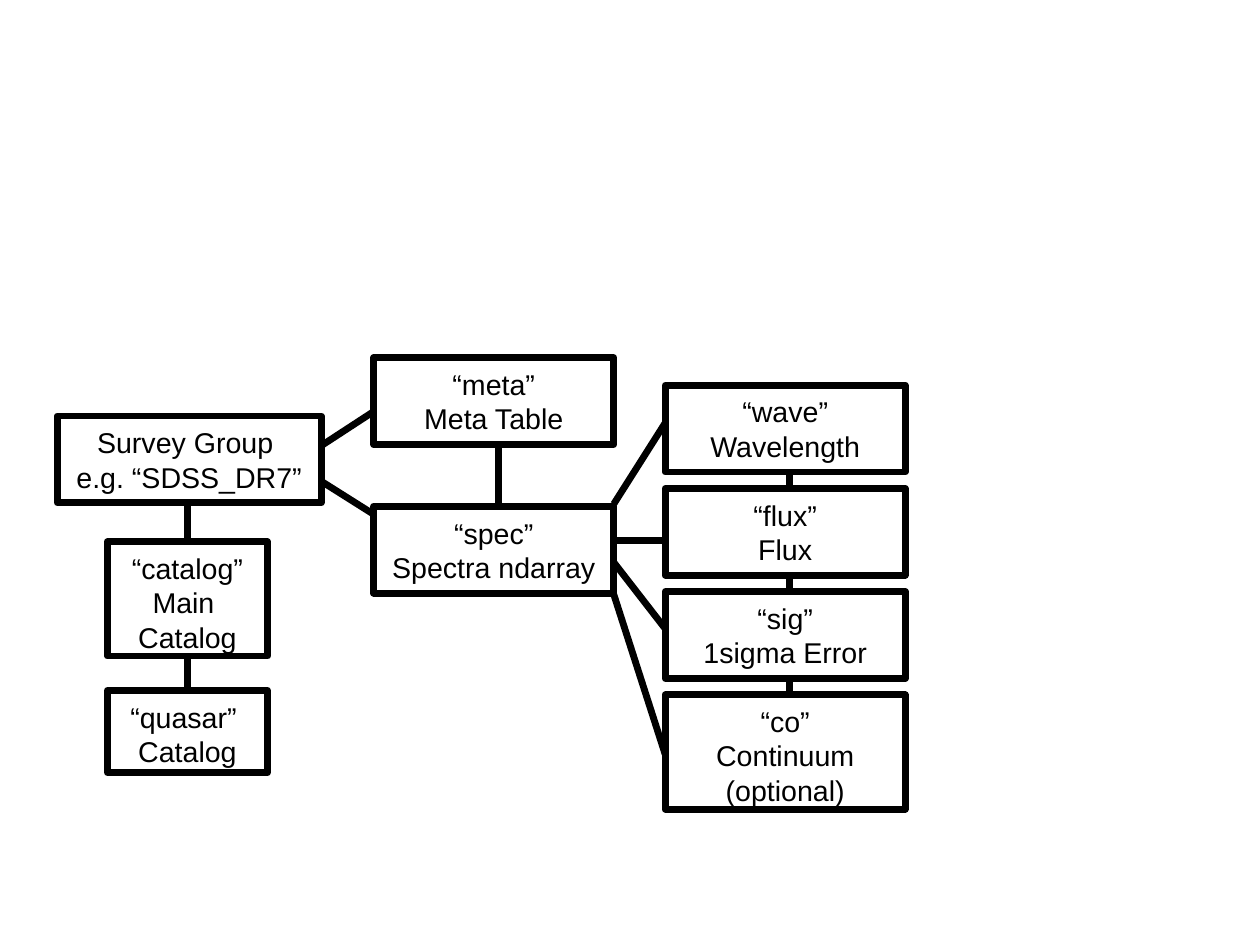
from dataclasses import dataclass

from lxml.etree import SubElement
from pptx import Presentation
from pptx.dml.color import RGBColor
from pptx.enum.shapes import MSO_CONNECTOR, MSO_SHAPE
from pptx.enum.text import MSO_ANCHOR, MSO_AUTO_SIZE, PP_ALIGN
from pptx.oxml.ns import qn
from pptx.util import Cm, Inches, Pt


@dataclass(frozen=True)
class Theme:
    ink: RGBColor = RGBColor(0, 0, 0)
    font: str = "Arial"
    size: float = 18
    stroke: float = 4.31
    inset_x: float = 0.13
    inset_y: float = 0.08


THEME = Theme()
SLIDE_WIDTH, SLIDE_HEIGHT = Cm(28), Cm(21)

# Content: each column has left, width, first top, last top, and boxes of
# (key, height, lines); the tops are spread evenly from first to last
COLUMNS = [
    (0.5, 2.31, 3.64, 3.64, [
        ("survey", 0.76, ["Survey Group ", "e.g. “SDSS_DR7”"])]),
    (0.94, 1.4, 4.74, 6.04, [
        ("catalog", 1.0, ["“catalog”", "Main ", "Catalog"]),
        ("quasar", 0.72, ["“quasar” ", "Catalog"])]),
    (3.27, 2.1, 3.13, 4.43, [
        ("meta", 0.76, ["“meta”", "Meta Table"]),
        ("spec", 0.76, ["“spec”", "Spectra ndarray"])]),
    (5.82, 2.1, 3.37, 6.08, [
        ("wave", 0.76, ["“wave”", "Wavelength"]),
        ("flux", 0.76, ["“flux”", "Flux"]),
        ("sig", 0.76, ["“sig”", "1sigma Error"]),
        ("co", 1.0, ["“co”", "Continuum", "(optional)"])]),
]

# Vertical links: lower box, upper box, x
STACK_LINKS = [
    ("quasar", "catalog", 1.64), ("catalog", "survey", 1.64),
    ("spec", "meta", 4.36),
    ("flux", "wave", 6.91), ("sig", "flux", 6.91), ("co", "sig", 6.91),
]

# Branches: parent, y at its right side, child, y at its left side
BRANCHES = [
    ("survey", 3.9, "meta", 3.6), ("survey", 4.21, "spec", 4.5),
    ("spec", 4.41, "wave", 3.7), ("spec", 4.73, "flux", 4.73),
    ("spec", 4.92, "sig", 5.5), ("spec", 5.2, "co", 6.6),
]


def style_line(line):
    line.color.rgb = THEME.ink
    line.width = Pt(THEME.stroke)


def add_box(slide, left, top, width, height, lines):
    box = slide.shapes.add_shape(
        MSO_SHAPE.RECTANGLE, *map(Inches, (left, top, width, height)))
    box.shadow.inherit = False
    box.fill.background()
    style_line(box.line)
    SubElement(box.line._get_or_add_ln(), qn("a:round"))

    frame = box.text_frame
    frame.word_wrap = True
    frame.auto_size = MSO_AUTO_SIZE.NONE
    frame.vertical_anchor = MSO_ANCHOR.TOP
    frame.margin_left = frame.margin_right = Inches(THEME.inset_x)
    frame.margin_top = frame.margin_bottom = Inches(THEME.inset_y)
    for index, line in enumerate(lines):
        paragraph = frame.add_paragraph() if index else frame.paragraphs[0]
        paragraph.alignment = PP_ALIGN.CENTER
        run = paragraph.add_run()
        run.text = line
        run.font.name = THEME.font
        run.font.size = Pt(THEME.size)
        run.font.color.rgb = THEME.ink
    return box


def middle_site(box, x, y):
    """Number of the side whose middle lies at the point, or None."""
    center_x, center_y = box.left + box.width / 2, box.top + box.height / 2
    middles = [(center_x, box.top), (box.left, center_y),
               (center_x, box.top + box.height),
               (box.left + box.width, center_y)]
    for site, (side_x, side_y) in enumerate(middles):
        if max(abs(side_x - x), abs(side_y - y)) < Inches(0.01):
            return site
    return None


def add_link(slide, start_box, start, end_box, end):
    link = slide.shapes.add_connector(MSO_CONNECTOR.STRAIGHT, *start, *end)
    style_line(link.line)
    SubElement(link._element.spPr, qn("a:effectLst"))
    for connect, box, point in ((link.begin_connect, start_box, start),
                                (link.end_connect, end_box, end)):
        site = middle_site(box, *point)
        if site is not None:
            connect(box, site)


def main():
    deck = Presentation()
    deck.slide_width, deck.slide_height = SLIDE_WIDTH, SLIDE_HEIGHT
    slide = deck.slides.add_slide(deck.slide_layouts[6])

    # Boxes, column by column
    boxes = {}
    for left, width, first, last, entries in COLUMNS:
        pitch = (last - first) / max(len(entries) - 1, 1)
        for row, (key, height, lines) in enumerate(entries):
            boxes[key] = add_box(
                slide, left, first + row * pitch, width, height, lines)

    # Links within the stacks
    for lower_key, upper_key, x in STACK_LINKS:
        lower, upper = boxes[lower_key], boxes[upper_key]
        add_link(slide, lower, (Inches(x), lower.top),
                 upper, (Inches(x), upper.top + upper.height))

    # Branches between the columns
    for parent_key, parent_y, child_key, child_y in BRANCHES:
        parent, child = boxes[parent_key], boxes[child_key]
        add_link(slide, parent, (parent.left + parent.width, Inches(parent_y)),
                 child, (child.left, Inches(child_y)))

    deck.save("out.pptx")


if __name__ == "__main__":
    main()
